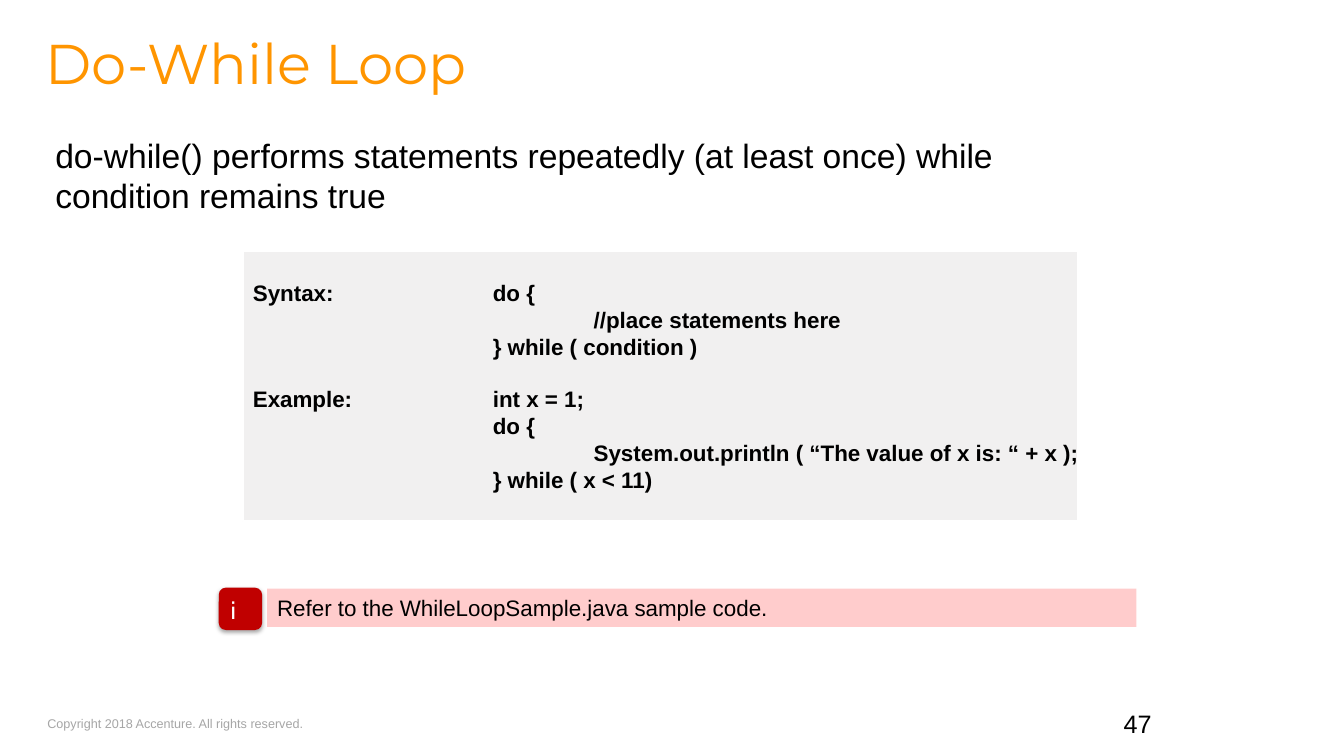
import pptx
import pptx.util
import pptx.dml.color
import pptx.enum.shapes
import pptx.enum.text
import lxml.etree

Inches, Pt = pptx.util.Inches, pptx.util.Pt
RGBColor = pptx.dml.color.RGBColor
SHAPE = pptx.enum.shapes.MSO_SHAPE
ALIGN = pptx.enum.text.PP_ALIGN
ANCHOR = pptx.enum.text.MSO_ANCHOR

BLACK = RGBColor(0x00, 0x00, 0x00)
WHITE = RGBColor(0xFF, 0xFF, 0xFF)
ORANGE = RGBColor(0xFF, 0x95, 0x00)
FOOTER_GRAY = RGBColor(0xA6, 0xA6, 0xA6)
PANEL_GRAY = RGBColor(0xF1, 0xF0, 0xF0)
NOTE_PINK = RGBColor(0xFF, 0xCC, 0xCC)
ICON_RED = RGBColor(0xC0, 0x00, 0x00)

DRAWING = "http://schemas.openxmlformats.org/drawingml/2006/main"
MARGINS = (0.1, 0.05, 0.1, 0.05)
CODE_TABS = (2.38, 3.38)
EXAMPLE_GAP = Pt(18.4)

# Text, box (left, top, width, height), font, frame, margins, alignment
TEXTS = [
    ("Copyright 2018 Accenture. All rights reserved.", (0.47, 7.05, 2.57, 0.25),
     {"size": Pt(9), "name": "Arial"}, FOOTER_GRAY,
     {"word_wrap": False}, (0, 0.05, 0, 0.05), {}),
    ("47", (9.67, 7.08, 1.85, 0.3),
     {"size": Pt(18), "name": "Arial"}, BLACK,
     {"word_wrap": True, "vertical_anchor": ANCHOR.BOTTOM}, MARGINS,
     {"alignment": ALIGN.RIGHT}),
    ("Do-While Loop", (0.45, 0.41, 8.32, 1.09),
     {"size": Pt(40), "name": "Montserrat"}, ORANGE,
     {"word_wrap": True}, (0, 0, 0, 0), {"line_spacing": 0.8}),
    ("do-while() performs statements repeatedly (at least once) while "
     "condition remains true", (0.45, 1.29, 10.47, 5.33),
     {"size": Pt(24), "name": "Arial"}, BLACK,
     {"word_wrap": True}, MARGINS, {}),
]
CODE_LINES = [
    "Syntax:\tdo {",
    "\t\t//place statements here",
    "\t} while ( condition )",
    "Example:\tint x = 1;",
    "\tdo {",
    "\t\tSystem.out.println ( “The value of x is: “ + x );",
    "\t} while ( x < 11)",
]
NOTE = "Refer to the WhileLoopSample.java sample code."


def set_values(target, values):
    for name, value in values.items():
        setattr(target, name, value)


def set_frame(shape, values, margins):
    """Apply frame settings and the left, top, right and bottom margins."""
    frame = shape.text_frame
    sides = ("margin_left", "margin_top", "margin_right", "margin_bottom")
    set_values(frame, values)
    set_values(frame, dict(zip(sides, map(Inches, margins))))
    return frame


def write(paragraph, text, font, color, values):
    paragraph.text = text
    set_values(paragraph, {"alignment": ALIGN.LEFT, **values})
    set_values(paragraph.font, font)
    paragraph.font.color.rgb = color


def add_box(slide, kind, box, color):
    shape = slide.shapes.add_shape(kind, *map(Inches, box))
    shape.shadow.inherit = False
    shape.fill.solid()
    shape.fill.fore_color.rgb = color
    shape.line.fill.background()
    return shape


def add_tabs(paragraph, stops):
    properties = paragraph._p.get_or_add_pPr()
    tabs = lxml.etree.SubElement(properties, f"{{{DRAWING}}}tabLst")
    for stop in stops:
        lxml.etree.SubElement(tabs, f"{{{DRAWING}}}tab",
                              pos=str(Inches(stop)), algn="l")


def add_shadow(shape):
    """Give the shape a soft shadow straight below it."""
    effects = shape._element.spPr.find(f"{{{DRAWING}}}effectLst")
    shadow = lxml.etree.SubElement(
        effects, f"{{{DRAWING}}}outerShdw", blurRad=str(Pt(3.1)),
        dist=str(Pt(1.8)), dir="5400000", rotWithShape="0")
    color = lxml.etree.SubElement(shadow, f"{{{DRAWING}}}srgbClr", val=str(BLACK))
    lxml.etree.SubElement(color, f"{{{DRAWING}}}alpha", val="35000")


def add_code_panel(slide):
    panel = add_box(slide, SHAPE.RECTANGLE, (2.41, 2.49, 8.28, 2.68), PANEL_GRAY)
    panel.line.color.rgb = WHITE
    panel.line.width = Pt(1.5)
    frame = set_frame(panel, {"word_wrap": False, "vertical_anchor": ANCHOR.MIDDLE},
                      MARGINS)
    for index, line in enumerate(CODE_LINES):
        paragraph = frame.add_paragraph() if index else frame.paragraphs[0]
        gap = {"space_before": EXAMPLE_GAP} if line.startswith("Example") else {}
        add_tabs(paragraph, CODE_TABS)
        write(paragraph, line, {"size": Pt(16), "name": "Arial", "bold": True},
              BLACK, gap)


def add_note(slide):
    note = add_box(slide, SHAPE.RECTANGLE, (2.65, 5.84, 8.62, 0.38), NOTE_PINK)
    frame = set_frame(note, {"word_wrap": True, "vertical_anchor": ANCHOR.MIDDLE},
                      (0.1, 0.1, 0.1, 0.1))
    write(frame.paragraphs[0], NOTE, {"size": Pt(16), "name": "Arial"}, BLACK, {})

    icon = add_box(slide, SHAPE.ROUNDED_RECTANGLE, (2.17, 5.83, 0.43, 0.42), ICON_RED)
    add_shadow(icon)
    frame = set_frame(icon, {"word_wrap": True, "vertical_anchor": ANCHOR.TOP}, MARGINS)
    write(frame.paragraphs[0], "i", {"size": Pt(18), "name": "Cabin"}, WHITE, {})


def main():
    presentation = pptx.Presentation()
    presentation.slide_width = Inches(13.33)
    presentation.slide_height = Inches(7.5)
    slide = presentation.slides.add_slide(presentation.slide_layouts[6])
    for text, box, font, color, frame_values, margins, values in TEXTS:
        shape = slide.shapes.add_textbox(*map(Inches, box))
        frame = set_frame(shape, frame_values, margins)
        write(frame.paragraphs[0], text, font, color, values)
    add_code_panel(slide)
    add_note(slide)
    presentation.save("out.pptx")


if __name__ == "__main__":
    main()
